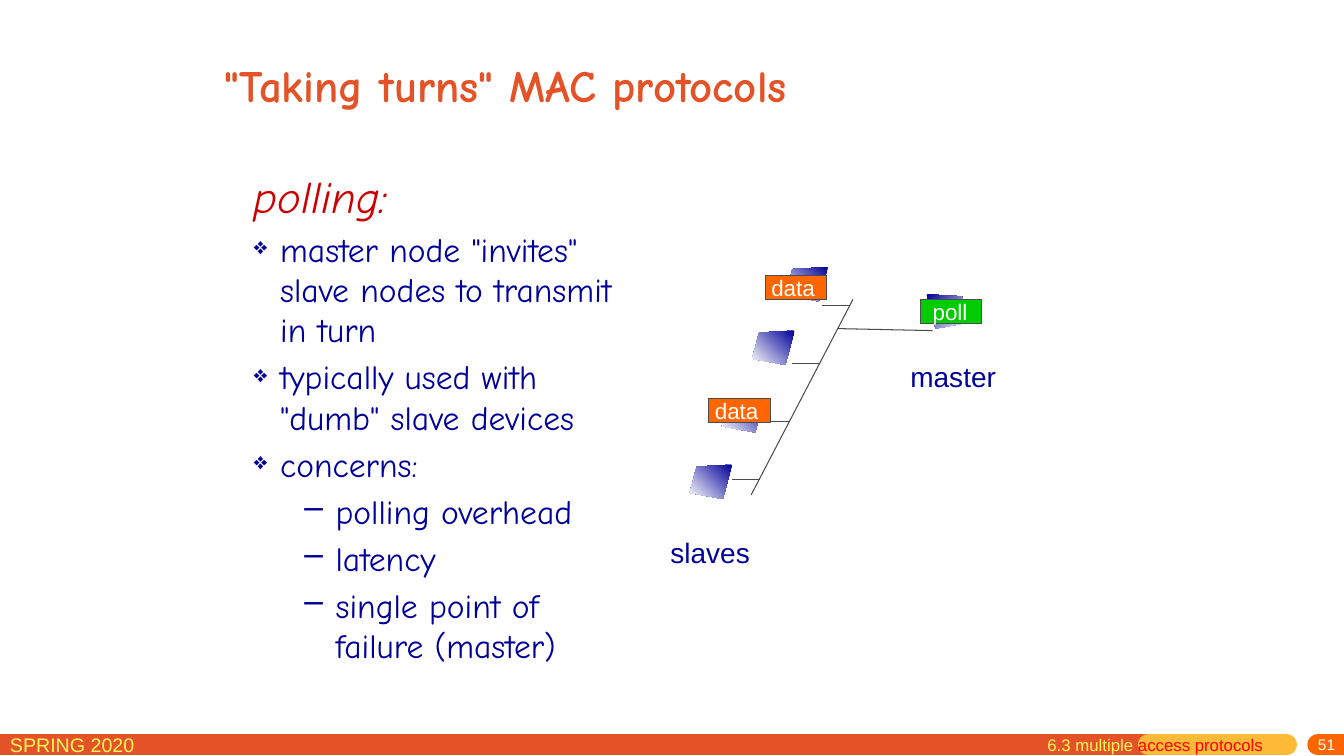
from dataclasses import dataclass

from lxml import etree
from pptx import Presentation
from pptx.dml.color import RGBColor
from pptx.enum import shapes, text
from pptx.oxml import ns
from pptx.util import Inches, Pt


@dataclass(frozen=True)
class Theme:
    heading_font: str = "Comic Neue"
    label_font: str = "Arial"
    orange: str = "E45327"
    amber: str = "FFBA37"
    badge: str = "FF6600"
    yellow: str = "FFF65C"
    red: str = "FF0000"
    crimson: str = "CC0000"
    navy: str = "000099"
    green: str = "00CC00"
    grey: str = "4C4C4C"
    white: str = "FFFFFF"
    title_size: int = 32
    body_size: int = 24
    label_size: int = 20
    tag_size: int = 16
    date_size: int = 14
    section_size: int = 12
    number_size: int = 11
    bar_width: float = 15
    wire_width: float = 0.75


THEME = Theme()


def rgb(code):
    return RGBColor.from_string(code)


def style(paragraph, size, color, face=THEME.label_font, bold=False, italic=False):
    font = paragraph.font
    font.name, font.size, font.bold, font.italic = face, Pt(size), bold, italic
    if color:
        font.color.rgb = rgb(color)


def add_frame(slide, left, top, width, height, wrap=True):
    frame = slide.shapes.add_textbox(
        Inches(left), Inches(top), Inches(width), Inches(height)).text_frame
    frame.word_wrap = wrap
    return frame


def add_label(slide, box, words, size, color, wrap=True, **look):
    frame = add_frame(slide, *box, wrap=wrap)
    frame.text = words
    style(frame.paragraphs[0], size, color, **look)
    return frame


def add_line(slide, start, end, color, width, rounded=False):
    line = slide.shapes.add_connector(
        shapes.MSO_CONNECTOR.STRAIGHT, *map(Inches, (*start, *end)))
    line.line.color.rgb = rgb(color)
    line.line.width = Pt(width)
    if rounded:
        line.line._get_or_add_ln().set("cap", "rnd")
    etree.SubElement(line._element.spPr, ns.qn("a:effectLst"))


# Footer: coloured bar, date, section name and slide number
def add_footer(slide, left, top, width):
    middle = top + 0.17
    for start, end, color, rounded in (
            (-0.18, 11.39, THEME.orange, False),
            (11.39, 12.76, THEME.amber, True),
            (13.07, 13.6, THEME.badge, True)):
        add_line(slide, (left + start, middle), (left + end, middle),
                 color, THEME.bar_width, rounded)
    add_label(slide, (left, top, 2.29, 0.31), "SPRING 2020",
              THEME.date_size, THEME.yellow)

    number = add_label(slide, (left + width - 2.58, top + 0.1, 2.59, 0.18), "51",
                       THEME.number_size, THEME.white)
    number.margin_top, number.margin_bottom = 0, Inches(0.05)
    number.vertical_anchor = text.MSO_ANCHOR.MIDDLE
    number.paragraphs[0].alignment = text.PP_ALIGN.RIGHT

    section = add_frame(slide, left + 10.29, top + 0.02, 2.44, 0.31).paragraphs[0]
    style(section, THEME.section_size, None)
    for words, color in (("6.3 multiple ", THEME.yellow),
                         ("access protocols", THEME.red)):
        run = section.add_run()
        run.text = words
        run.font.color.rgb = rgb(color)


def add_title(slide, left, top, width, height):
    title = add_label(slide, (left, top, width, height),
                      '"Taking turns" MAC protocols', THEME.title_size,
                      THEME.orange, face=THEME.heading_font, bold=True)
    title.vertical_anchor = text.MSO_ANCHOR.MIDDLE


# Polling notes: (text, bullet, left margin, hanging indent)
POINT = ("❖", 0.26, 0.26)
CONCERN = ("–", 0.81, 0.31)
NOTES = (
    ('master node "invites" slave nodes to transmit in turn', POINT),
    ('typically used with "dumb" slave devices', POINT),
    ("concerns:", POINT),
    ("polling overhead", CONCERN),
    ("latency", CONCERN),
    ("single point of failure (master)", CONCERN),
)


def add_notes(slide, left, top, width, height):
    frame = add_label(slide, (left, top, width, height), "polling:",
                      THEME.title_size, THEME.crimson,
                      face=THEME.heading_font, italic=True)
    for words, (bullet, margin, hang) in NOTES:
        note = frame.add_paragraph()
        note.text = words
        note.level = int(bullet == "–")
        note.space_before = Pt(THEME.body_size * 0.2)
        props = note._p.get_or_add_pPr()
        props.set("marL", str(Inches(margin)))
        props.set("indent", str(-Inches(hang)))
        if bullet == "❖":
            etree.SubElement(props, ns.qn("a:buSzPct")).set("val", "70000")
        etree.SubElement(props, ns.qn("a:buChar")).set("char", bullet)
        style(note, THEME.body_size, THEME.navy, face=THEME.heading_font)


# Node outline, drawn from its dark upper corner; side is -1 (left) or 1 (right)
def add_node(slide, x, y, side):
    corners = [(Inches(x + side * dx), Inches(y + dy)) for dx, dy in
               ((0, 0), (0.35, 0.02), (0.42, 0.28), (0.09, 0.34))]
    builder = slide.shapes.build_freeform(*corners[0], scale=1.0)
    builder.add_line_segments(corners[1:], close=True)
    node = builder.convert_to_shape()
    node.shadow.inherit = False
    node.line.fill.background()
    node.fill.gradient()
    node.fill.gradient_angle = 270 + side * 45
    for stop, place, color in zip(node.fill.gradient_stops, (0, 1),
                                  (THEME.navy, THEME.white)):
        stop.position = place
        stop.color.rgb = rgb(color)


def add_tag(slide, x, y, words, color, inset):
    tag = slide.shapes.add_shape(shapes.MSO_SHAPE.RECTANGLE, Inches(x), Inches(y),
                                 Inches(0.61), Inches(0.24))
    tag.shadow.inherit = False
    tag.fill.solid()
    tag.fill.fore_color.rgb = rgb(color)
    tag.line.color.rgb = rgb(THEME.grey)
    tag.line.width = Pt(THEME.wire_width)
    frame = tag.text_frame
    frame.margin_left = Inches(inset)
    frame.margin_right = frame.margin_top = frame.margin_bottom = 0
    frame.word_wrap = False
    frame.vertical_anchor = text.MSO_ANCHOR.MIDDLE
    frame.text = words
    frame.paragraphs[0].alignment = text.PP_ALIGN.LEFT
    style(frame.paragraphs[0], THEME.tag_size, THEME.white)


# Shared bus with four slaves on the left and the master on the right
def add_bus(slide, left, top):
    for x, y in ((0.71, 1.96), (1.03, 1.3), (1.33, 0.63), (1.66, 0)):
        add_node(slide, left + x, top + y, -1)
    add_node(slide, left + 2.64, top + 0.27, 1)

    wires = [((1.91, 0.32), (0.9, 2.26)), ((1.76, 0.61), (2.7, 0.63))]
    for i in range(4):
        x, y = 1.6 - i * 0.297, 0.38 + i * 0.577
        wires.append(((x, y), (x + 0.28, y)))
    for (x1, y1), (x2, y2) in wires:
        add_line(slide, (left + x1, top + y1), (left + x2, top + y2),
                 THEME.grey, THEME.wire_width)

    for words, x, y, width in (("master", 2.38, 0.87, 1.05),
                               ("slaves", 0, 2.61, 0.99)):
        add_label(slide, (left + x, top + y, width, 0.43), words,
                  THEME.label_size, THEME.navy, wrap=False)
    for words, x, y, color, inset in (("poll", 2.58, 0.32, THEME.green, 0.12),
                                      ("data", 0.48, 1.3, THEME.badge, 0.06),
                                      ("data", 1.04, 0.08, THEME.badge, 0.06)):
        add_tag(slide, left + x, top + y, words, color, inset)


def main():
    deck = Presentation()
    deck.slide_width, deck.slide_height = Inches(13.33), Inches(7.5)
    slide = deck.slides.add_slide(deck.slide_layouts[6])
    add_footer(slide, 0, 7.22, 13.33)
    add_notes(slide, 2.42, 1.62, 3.78, 5.54)
    add_bus(slide, 6.55, 2.65)
    add_title(slide, 2.13, 0.21, 8.5, 1.25)
    deck.save("out.pptx")


if __name__ == "__main__":
    main()
